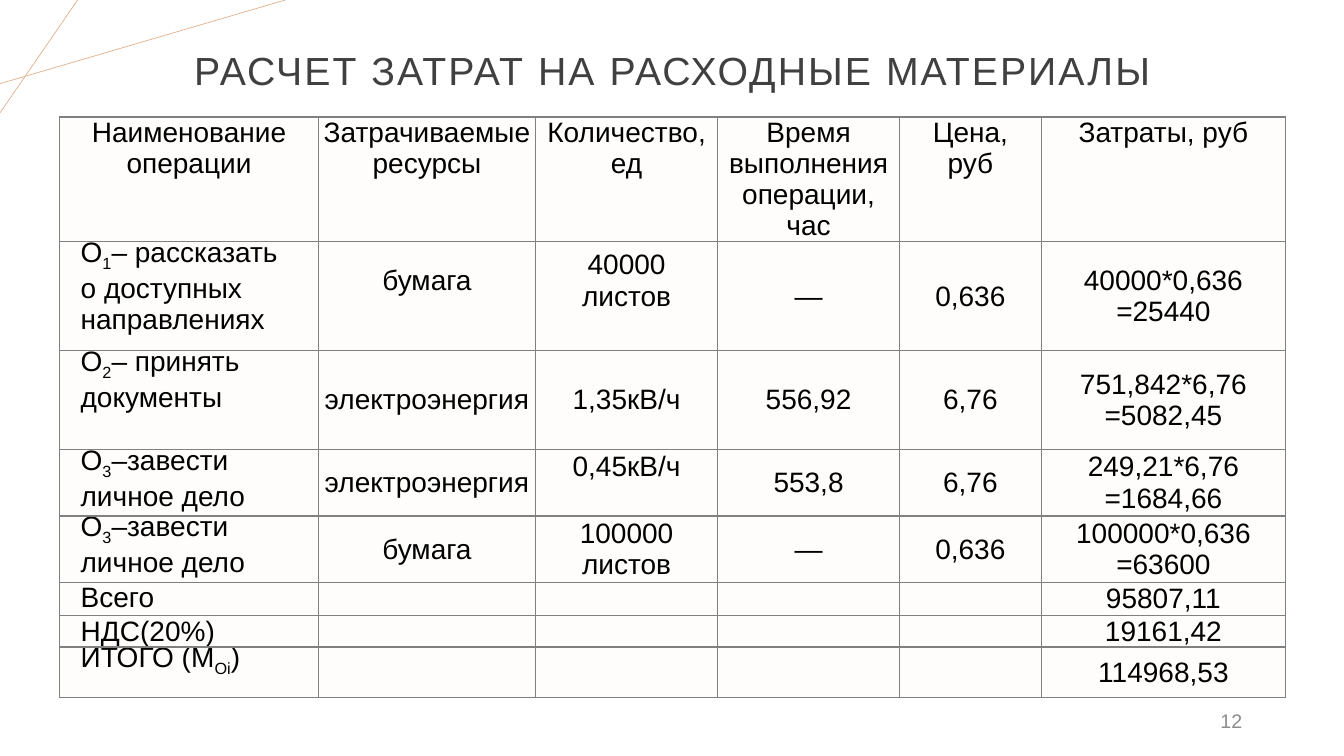
from dataclasses import dataclass

from lxml.etree import SubElement
from pptx import Presentation
from pptx.dml.color import RGBColor
from pptx.enum.shapes import MSO_CONNECTOR
from pptx.enum.text import MSO_ANCHOR, PP_ALIGN
from pptx.oxml.ns import qn
from pptx.util import Inches, Pt


@dataclass(frozen=True)
class Theme:
    font: str = "Arial"
    title_size: float = 28
    table_size: float = 20
    table_leading: float = 22.3
    number_size: float = 14
    title: str = "404040"
    text: str = "000000"
    number: str = "8C8C8C"
    cell: str = "FEFDFC"
    border: str = "808080"
    accent: str = "E2B18D"


@dataclass(frozen=True)
class Column:
    heading: str
    width: float
    indent: float


@dataclass(frozen=True)
class CostRow:
    height: float
    values: tuple[str, ...]
    raised: tuple[int, ...] = ()  # columns whose text sits half a line higher


@dataclass(frozen=True)
class AccentLine:
    start: tuple[float, float]
    end: tuple[float, float]


THEME = Theme()
HEADER_HEIGHT = 1.24
LINE_HEIGHT = 0.31

COLUMNS = (
    Column("Наименование операции", 2.57, 0.21),
    Column("Затрачиваемые ресурсы", 2.15, 0.04),
    Column("Количество, ед", 1.81, 0.05),
    Column("Время выполнения операции, час", 1.8, 0.07),
    Column("Цена, руб", 1.41, 0.2),
    Column("Затраты, руб", 2.42, 0.2),
)

# Text between tildes is set as a subscript
COST_ROWS = (
    CostRow(1.08, ("О~1~– рассказать о доступных направлениях", "бумага", "40000 листов",
                   "—", "0,636", "40000*0,636\n=25440"), raised=(1, 2)),
    CostRow(0.98, ("О~2~– принять документы", "электроэнергия", "1,35кВ/ч",
                   "556,92", "6,76", "751,842*6,76\n=5082,45")),
    CostRow(0.66, ("О~3~–завести личное дело", "электроэнергия", "0,45кВ/ч",
                   "553,8", "6,76", "249,21*6,76\n=1684,66"), raised=(2,)),
    CostRow(0.66, ("О~3~–завести личное дело", "бумага", "100000 листов",
                   "—", "0,636", "100000*0,636\n=63600")),
    CostRow(0.33, ("Всего", "", "", "", "", "95807,11")),
    CostRow(0.31, ("НДС(20%)", "", "", "", "", "19161,42")),
    CostRow(0.5, ("ИТОГО (М~Oi~)", "", "", "", "", "114968,53")),
)

ACCENT_LINES = (
    AccentLine((0, 0.83), (2.83, 0)),
    AccentLine((0.77, 0), (0, 1.12)),
)


def write_text(frame, text: str, *, size: float, color: str,
               align: PP_ALIGN = PP_ALIGN.CENTER,
               line_spacing: float | Pt | None = None, tracking: float = 0) -> None:
    frame.word_wrap = True
    paragraph = frame.paragraphs[0]
    paragraph.alignment = align
    paragraph.line_spacing = line_spacing
    for line_index, line in enumerate(text.split("\n")):
        if line_index:
            paragraph.add_line_break()
        for part_index, part in enumerate(line.split("~")):
            if not part:
                continue
            run = paragraph.add_run()
            run.text = part
            run.font.name = THEME.font
            run.font.size = Pt(size)
            run.font.color.rgb = RGBColor.from_string(color)
            properties = run._r.get_or_add_rPr()
            if part_index % 2:
                properties.set("baseline", "-25000")
            if tracking:
                properties.set("spc", str(round(tracking * 100)))


def add_accent_line(slide, line: AccentLine) -> None:
    points = [Inches(value) for value in (*line.start, *line.end)]
    connector = slide.shapes.add_connector(MSO_CONNECTOR.STRAIGHT, *points)
    connector.line.color.rgb = RGBColor.from_string(THEME.accent)
    connector.line.width = Pt(0.5)
    SubElement(connector._element.spPr, qn("a:effectLst"))


def add_title(slide, text: str) -> None:
    title = slide.shapes.title
    title.left, title.top = Inches(0.92), Inches(0.31)
    title.width, title.height = Inches(11.5), Inches(0.83)
    title.text_frame.vertical_anchor = MSO_ANCHOR.MIDDLE
    write_text(title.text_frame, text, size=THEME.title_size, color=THEME.title,
               line_spacing=0.9, tracking=1.5)


def add_slide_number(slide, number: str) -> None:
    number_box = slide.shapes.add_textbox(Inches(9.42), Inches(6.95), Inches(3), Inches(0.4))
    number_box.text_frame.vertical_anchor = MSO_ANCHOR.MIDDLE
    write_text(number_box.text_frame, number, size=THEME.number_size,
               color=THEME.number, align=PP_ALIGN.RIGHT)


def style_cell(cell, indent: float, bottom: float) -> None:
    cell.margin_left = cell.margin_right = Inches(indent)
    cell.margin_top = 0
    cell.margin_bottom = Inches(bottom)
    properties = cell._tc.get_or_add_tcPr()
    for side in ("lnL", "lnR", "lnT", "lnB"):
        border = SubElement(properties, qn(f"a:{side}"), w=str(Pt(1)))
        border_fill = SubElement(border, qn("a:solidFill"))
        SubElement(border_fill, qn("a:srgbClr"), val=THEME.border)
    cell.fill.solid()
    cell.fill.fore_color.rgb = RGBColor.from_string(THEME.cell)


def add_cost_table(slide) -> None:
    header = CostRow(HEADER_HEIGHT, tuple(column.heading for column in COLUMNS))
    rows = (header, *COST_ROWS)
    table = slide.shapes.add_table(
        len(rows), len(COLUMNS), Inches(0.59), Inches(1.16),
        Inches(sum(column.width for column in COLUMNS)),
        Inches(sum(row.height for row in rows))).table
    table.first_row = table.horz_banding = False
    for index, column in enumerate(COLUMNS):
        table.columns[index].width = Inches(column.width)
    for row_index, row in enumerate(rows):
        table.rows[row_index].height = Inches(row.height)
        for column_index, (column, value) in enumerate(zip(COLUMNS, row.values)):
            cell = table.cell(row_index, column_index)
            style_cell(cell, column.indent, LINE_HEIGHT if column_index in row.raised else 0)
            is_header, is_label = row_index == 0, column_index == 0
            cell.vertical_anchor = MSO_ANCHOR.TOP if is_header or is_label else MSO_ANCHOR.MIDDLE
            align = PP_ALIGN.LEFT if is_label and not is_header else PP_ALIGN.CENTER
            # Exact leading keeps every row at its set height
            write_text(cell.text_frame, value, size=THEME.table_size, color=THEME.text,
                       align=align, line_spacing=Pt(THEME.table_leading))


def main() -> None:
    presentation = Presentation()
    presentation.slide_width, presentation.slide_height = Inches(13.33), Inches(7.5)
    slide = presentation.slides.add_slide(presentation.slide_layouts[5])

    # Corner decoration
    for line in ACCENT_LINES:
        add_accent_line(slide, line)

    # Content
    add_title(slide, "РАСЧЕТ ЗАТРАТ НА РАСХОДНЫЕ МАТЕРИАЛЫ")
    add_slide_number(slide, "12")
    add_cost_table(slide)

    presentation.save("out.pptx")


if __name__ == "__main__":
    main()
